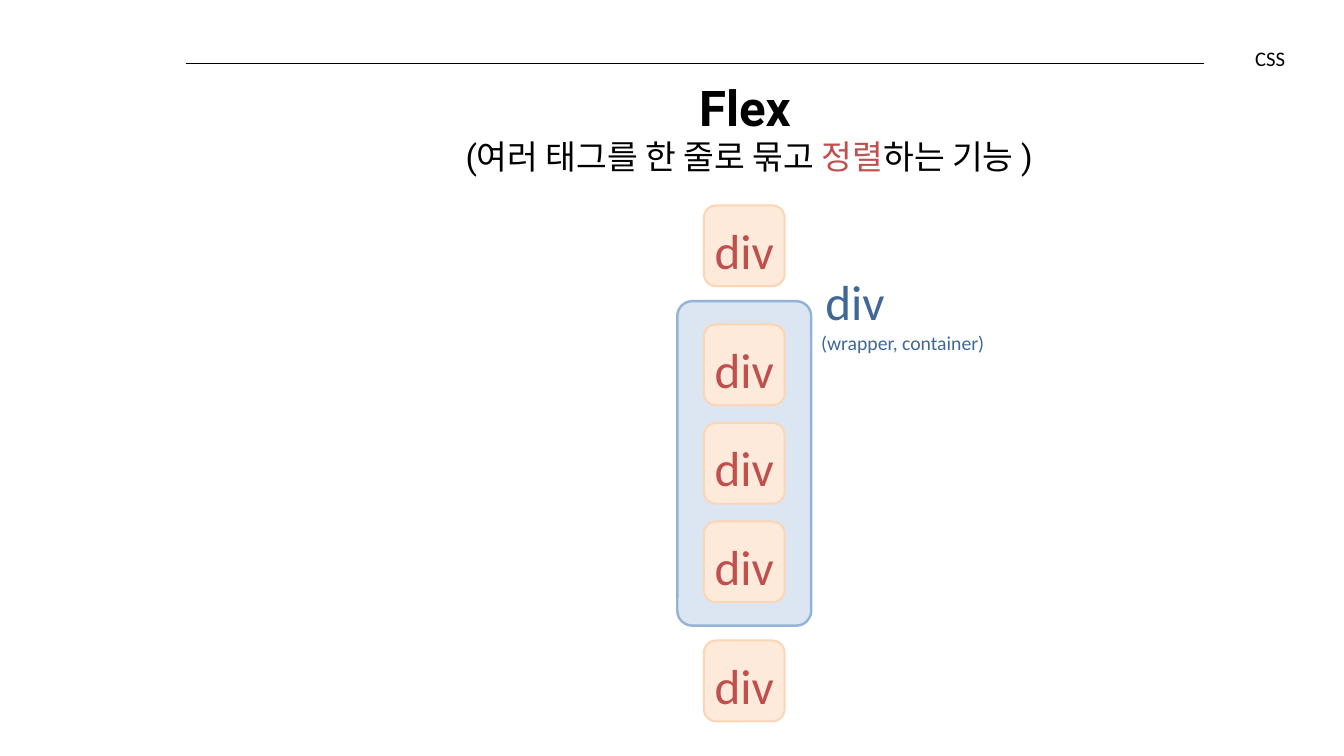
import pptx
import pptx.dml.color
import pptx.enum.shapes
import pptx.enum.text
import pptx.util
from lxml import etree

Inches = pptx.util.Inches
Pt = pptx.util.Pt
RGBColor = pptx.dml.color.RGBColor
Shape = pptx.enum.shapes.MSO_SHAPE
Align = pptx.enum.text.PP_ALIGN
Anchor = pptx.enum.text.MSO_ANCHOR

BLACK = RGBColor(0x00, 0x00, 0x00)
RED = RGBColor(0xC0, 0x50, 0x4D)
BLUE = RGBColor(0x3F, 0x67, 0x97)
WRAPPER_FILL = RGBColor(0xDC, 0xE6, 0xF2)
WRAPPER_LINE = RGBColor(0x95, 0xB3, 0xD7)
TILE_FILL = RGBColor(0xFD, 0xEA, 0xDA)
TILE_LINE = RGBColor(0xFC, 0xD5, 0xB5)

TILE = 1.14
TILES_INSIDE = 3
PADDING = 0.33
OUTER_GAP = 0.21


def add_span(para, text, size=50, font="Calibri", color=BLACK, bold=False):
    span = para.add_run()
    span.text = text
    span.font.size = Pt(size)
    span.font.name = font
    span.font.color.rgb = color
    span.font.bold = bold


def set_frame(shape, inset, anchor=Anchor.TOP):
    frame = shape.text_frame
    frame.word_wrap = True
    frame.vertical_anchor = anchor
    frame.margin_left = frame.margin_right = Inches(inset)
    frame.margin_top = frame.margin_bottom = Inches(inset)
    return frame


def add_text_box(page, left, top, width, height, inset, anchor=Anchor.TOP):
    box = page.shapes.add_textbox(Inches(left), Inches(top), Inches(width), Inches(height))
    return set_frame(box, inset, anchor)


def add_rounded(page, left, top, width, height, corner, fill, line, weight):
    shape = page.shapes.add_shape(Shape.ROUNDED_RECTANGLE, Inches(left), Inches(top),
                                  Inches(width), Inches(height))
    shape.adjustments[0] = corner
    shape.shadow.inherit = False
    shape.fill.solid()
    shape.fill.fore_color.rgb = fill
    shape.line.color.rgb = line
    shape.line.width = Pt(weight)
    return shape


def add_header(page, left, top, width, height):
    # Rule across the top
    rule = page.shapes.add_connector(pptx.enum.shapes.MSO_CONNECTOR.STRAIGHT, Inches(left),
                                     Inches(top + 0.26), Inches(left + 14.37), Inches(top + 0.26))
    rule.line.color.rgb = BLACK
    rule.line.width = Pt(0.75)
    etree.SubElement(rule._element.spPr, pptx.oxml.ns.qn("a:effectLst"))
    # Topic at the right edge
    para = add_text_box(page, left + width - 5.49, top, 5.49, height, 0).paragraphs[0]
    para.alignment = Align.RIGHT
    add_span(para, "CSS", size=21)


def add_heading(page, left, top, width, height):
    frame = add_text_box(page, left, top, width, height, 0.19)
    title = frame.paragraphs[0]
    title.alignment = Align.CENTER
    add_span(title, "Flex", font="Roboto", bold=True)
    add_span(title, " ", size=34, font="Roboto", bold=True)
    subtitle = frame.add_paragraph()
    subtitle.alignment = Align.CENTER
    for text, color in (("(여러 태그를 한 줄로 묶고 ", BLACK), ("정렬", RED), ("하는 기능 )", BLACK)):
        add_span(subtitle, text, size=34, font="Roboto", color=color)


def add_tile(page, left, top):
    tile = add_rounded(page, left, top, TILE, TILE, 0.15, TILE_FILL, TILE_LINE, 2)
    para = set_frame(tile, 0.05, Anchor.BOTTOM).paragraphs[0]
    para.alignment = Align.CENTER
    add_span(para, "div", color=RED)


def add_wrapper_label(page, left, top, width, height):
    frame = add_text_box(page, left, top, width, height, 0.05, Anchor.MIDDLE)
    lines = (("div", 50, 0.31), ("(wrapper, container)", 20, 0.25))
    for index, (text, size, indent) in enumerate(lines):
        para = frame.add_paragraph() if index else frame.paragraphs[0]
        para._p.get_or_add_pPr().set("marL", str(Inches(indent)))
        add_span(para, text, size=size, color=BLUE)


def add_diagram(page, left, top, width, height):
    add_rounded(page, left, top, width, height, 0.112, WRAPPER_FILL, WRAPPER_LINE, 2.5)
    tile_left = left + (width - TILE) / 2
    step = (height - 2 * PADDING - TILE) / (TILES_INSIDE - 1)
    # One tile above, three inside and one below the wrapper
    inside = [top + PADDING + index * step for index in range(TILES_INSIDE)]
    for tile_top in [top - OUTER_GAP - TILE, *inside, top + height + OUTER_GAP]:
        add_tile(page, tile_left, tile_top)
    add_wrapper_label(page, left + width - 0.16, top - 0.45, 2.73, 1.23)


def main():
    deck = pptx.Presentation()
    deck.slide_width = Inches(18.97)
    deck.slide_height = Inches(10.67)
    page = deck.slides.add_slide(deck.slide_layouts[6])
    add_header(page, 2.62, 0.64, 15.52, 0.38)
    add_heading(page, 4.86, 0.9, 11.43, 1.82)
    add_diagram(page, 9.56, 4.25, 1.89, 4.58)
    deck.save("out.pptx")


if __name__ == "__main__":
    main()
